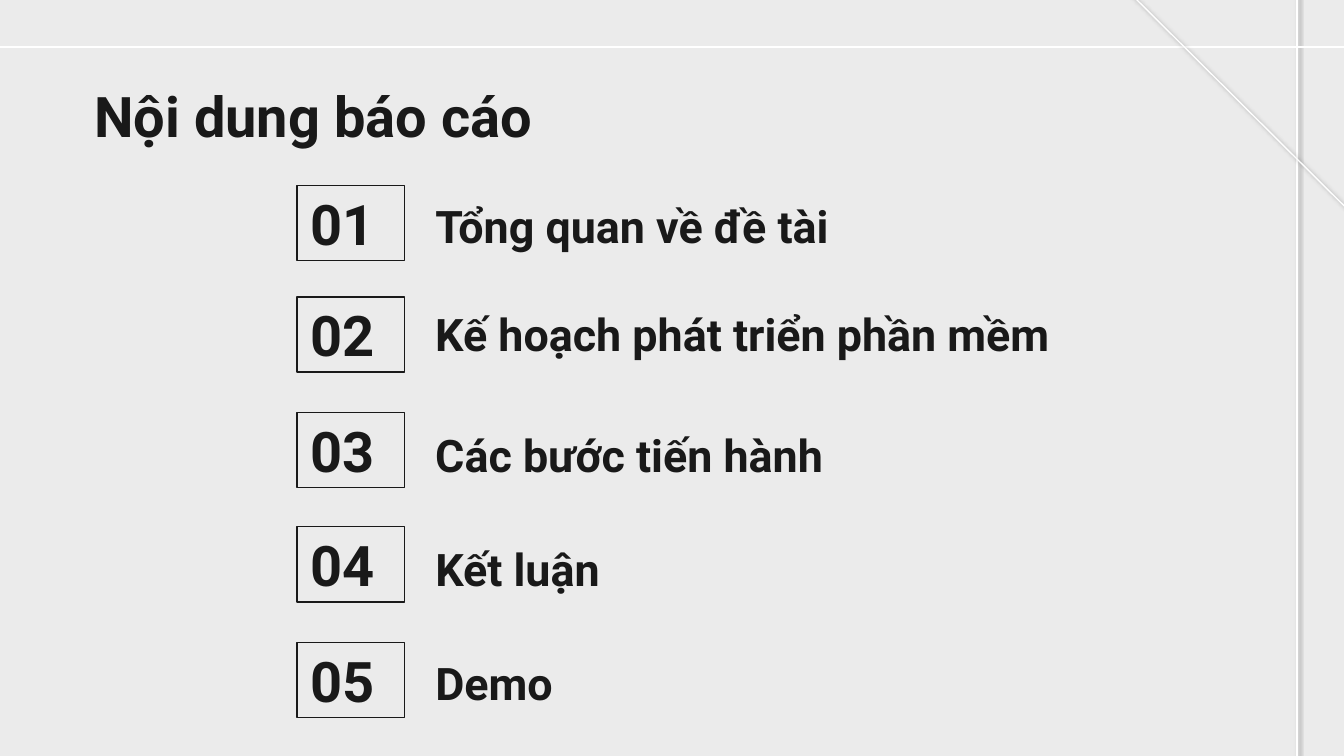
from dataclasses import dataclass

from lxml import etree
from pptx import Presentation
from pptx.dml.color import RGBColor
from pptx.enum.shapes import MSO_CONNECTOR, MSO_SHAPE
from pptx.enum.text import MSO_ANCHOR as ANCHOR, MSO_AUTO_SIZE, PP_ALIGN
from pptx.oxml.ns import qn
from pptx.util import Inches, Pt


@dataclass(frozen=True)
class Theme:
    background: RGBColor = RGBColor.from_string("EBEBEB")
    ink: RGBColor = RGBColor.from_string("191919")
    rule: RGBColor = RGBColor.from_string("FFFFFF")
    shadow: str = "434343"
    font: str = "Roboto"
    heading: int = 30
    label: int = 24
    line: float = 0.75


THEME = Theme()
WIDTH = 10
HEIGHT = WIDTH * 9 / 16

TITLE = "Nội dung báo cáo"
# label, label width, tops of number box and label within the agenda
AGENDA = [
    ("Tổng quan về đề tài", 5.12, 0, 0),
    ("Kế hoạch phát triển phần mềm", 4.87, 0.83, 0.8),
    ("Các bước tiến hành", 4.17, 1.69, 1.7),
    ("Kết luận", 1.99, 2.54, 2.55),
    ("Demo", 1.99, 3.4, 3.4),
]


def inches(*lengths):
    return [Inches(length) for length in lengths]


def write(sp, text, size, anchor=ANCHOR.TOP):
    tf = sp.text_frame
    frame_format = {
        "word_wrap": True,
        "auto_size": MSO_AUTO_SIZE.NONE,
        "vertical_anchor": anchor,
        **{f"margin_{side}": Inches(0.1) for side in ("left", "top", "right", "bottom")},
    }
    for name, value in frame_format.items():
        setattr(tf, name, value)
    p = tf.paragraphs[0]
    p.alignment = PP_ALIGN.LEFT
    p.line_spacing = 1.0
    r = p.add_run()
    r.text = text
    for name, value in {"name": THEME.font, "size": Pt(size), "bold": True}.items():
        setattr(r.font, name, value)
    r.font.color.rgb = THEME.ink


def add_soft_shadow(line):
    effects = etree.SubElement(line._element.spPr, qn("a:effectLst"))
    shadow = etree.SubElement(
        effects, qn("a:outerShdw"), blurRad=str(Pt(2.2)), dist=str(Pt(1.5)),
        dir=str(51 * 60000), algn="bl", rotWithShape="0")
    color = etree.SubElement(shadow, qn("a:srgbClr"), val=THEME.shadow)
    etree.SubElement(color, qn("a:alpha"), val="50000")


def add_crease_lines(slide, left, top, width, height):
    right, bottom = left + width, top + height
    creases = [
        (right - 0.35, top - 0.16, right - 0.35, bottom),
        (left - 0.06, top + 0.35, right + 0.06, top + 0.35),
        (right - 1.61, top - 0.07, right + 0.11, top + 1.64),
    ]
    for ends in creases:
        line = slide.shapes.add_connector(MSO_CONNECTOR.STRAIGHT, *inches(*ends))
        line.line.color.rgb = THEME.rule
        line.line.width = Pt(THEME.line)
        add_soft_shadow(line)


def add_title(slide, *box):
    title = slide.shapes.title
    for name, value in zip(("left", "top", "width", "height"), inches(*box)):
        setattr(title, name, value)
    write(title, TITLE, THEME.heading)


def add_number_box(slide, number, *box):
    sp = slide.shapes.add_shape(MSO_SHAPE.RECTANGLE, *inches(*box))
    sp.shadow.inherit = False
    sp.fill.background()
    sp.line.color.rgb = THEME.ink
    sp.line.width = Pt(THEME.line)
    write(sp, f"{number:02}", THEME.heading, ANCHOR.MIDDLE)


def add_agenda(slide, left, top):
    row_height = 0.56
    for number, (text, width, box_top, label_top) in enumerate(AGENDA, 1):
        add_number_box(slide, number, left, top + box_top, 0.8, row_height)
        label = slide.shapes.add_textbox(
            *inches(left + 0.93, top + label_top, width, row_height))
        write(label, text, THEME.label)


def main():
    prs = Presentation()
    prs.slide_width, prs.slide_height = inches(WIDTH, HEIGHT)
    slide = prs.slides.add_slide(prs.slide_layouts.get_by_name("Title Only"))
    slide.background.fill.solid()
    slide.background.fill.fore_color.rgb = THEME.background
    add_crease_lines(slide, 0, 0, WIDTH, HEIGHT)
    add_title(slide, 0.6, 0.51, 8.43, 0.63)
    add_agenda(slide, 2.21, 1.38)
    prs.save("out.pptx")


if __name__ == "__main__":
    main()
